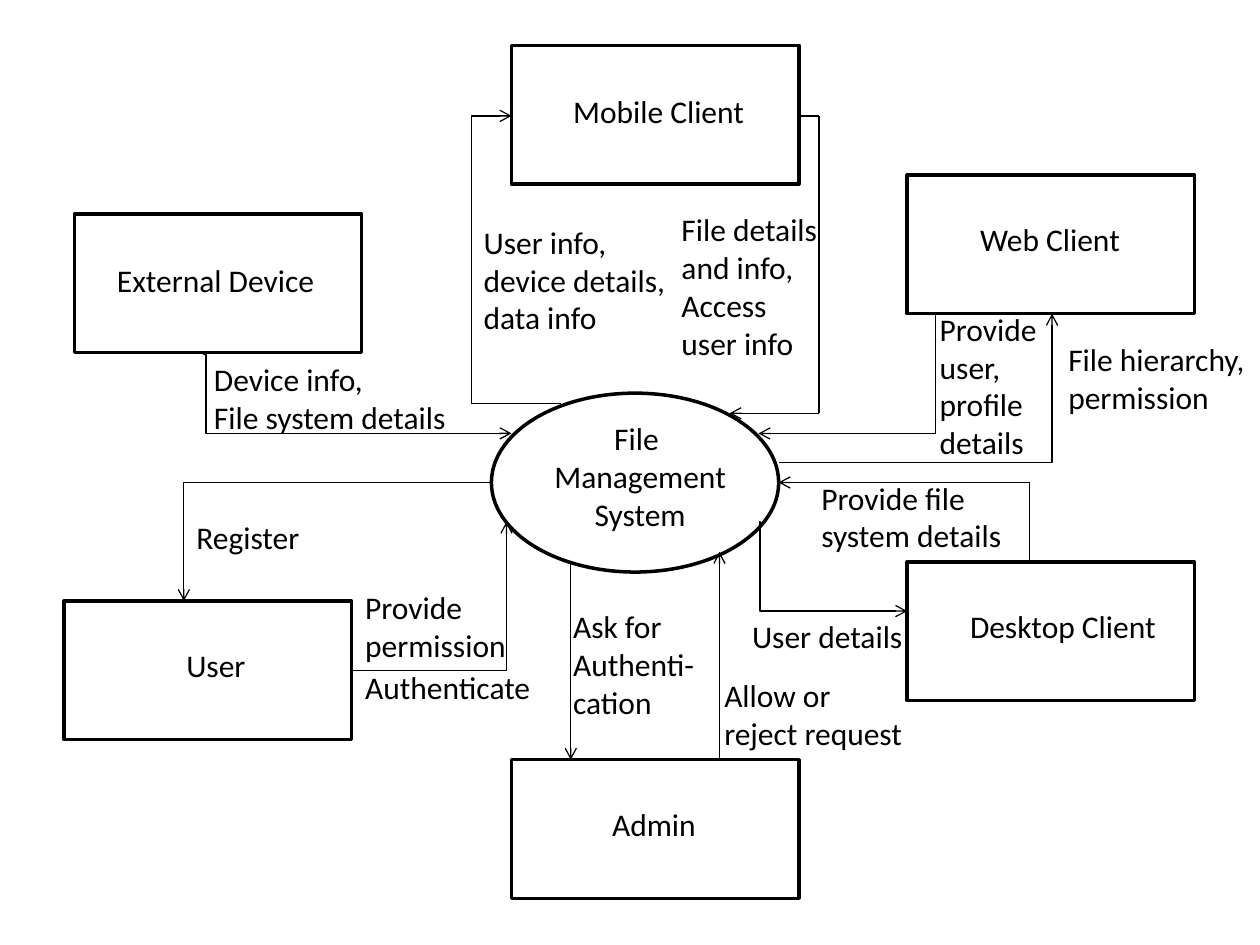
from itertools import pairwise

from lxml.etree import SubElement
from pptx import Presentation
from pptx.dml.color import RGBColor
from pptx.enum.shapes import MSO_CONNECTOR, MSO_SHAPE
from pptx.enum.text import MSO_AUTO_SIZE, PP_ALIGN
from pptx.oxml.ns import qn
from pptx.util import Inches, Pt

COLOURS = {"ink": "000000", "paper": "FFFFFF"}
INK = RGBColor.from_string(COLOURS["ink"])
TEXT_FORMAT = {"name": "Calibri", "size": Pt(18)}
FRAME_FORMAT = {"word_wrap": False, "auto_size": MSO_AUTO_SIZE.SHAPE_TO_FIT_TEXT}
ENTITY_SIZE = (2.28, 1.1)
SYSTEM_BOX = (3.9, 3.12, 2.28, 1.42)
LINE_HEIGHT = 0.3

# Entities: every position is an offset from the entity's top left corner.
# name: left, top, width. labels: left, top, width, text.
# routes: corner points of straight runs. elbows: start, end, bend
# (bend is the share of the width where the line turns; None turns once).
ENTITIES = [
    {"corner": (4.06, 0.36), "name": (0.39, 0.32, 1.58, "Mobile Client"),
     "routes": [[(2.28, 0.56), (2.44, 0.56), (2.44, 2.92), (1.73, 2.92)],
                [(0.39, 2.84), (-0.32, 2.84), (-0.32, 0.56), (0, 0.56)]],
     "labels": [(1.25, 1.26, 1.35, "File details\nand info,\nAccess\nuser info"),
                (-0.32, 1.36, 1.66, "User info,\ndevice details,\ndata info")]},
    {"corner": (0.51, 4.77), "name": (0.87, 0.31, 0.68, "User"),
     "elbows": [((2.29, 0.55), (3.51, -0.63), 1), ((3.39, -0.94), (0.95, 0), 1)],
     "labels": [(0.95, -0.71, 1.09, "Register"),
                (2.29, -0.15, 1.39, "Provide\npermission"),
                (2.29, 0.48, 1.53, "Authenticate")]},
    {"corner": (7.2, 1.39), "name": (0.48, 0.31, 1.33, "Web Client"),
     "elbows": [((-1.02, 2.28), (1.15, 1.1), None),
                ((0.24, 1.1), (-1.18, 2.05), 0.01)],
     "labels": [(1.18, 1.26, 1.62, "File hierarchy,\npermission"),
                (0.16, 1.02, 1.04, "Provide\nuser,\nprofile\ndetails")]},
    {"corner": (4.06, 6.03), "name": (0.7, 0.31, 0.87, "Admin"),
     "routes": [[(0.47, -1.57), (0.47, 0)], [(1.65, 0), (1.65, -1.65)]],
     "labels": [(0.39, -1.26, 1.17, "Ask for\nAuthenti-\ncation"),
                (1.59, -0.71, 1.63, "Allow or\nreject request")]},
    {"corner": (7.2, 4.46), "name": (0.4, 0.31, 1.69, "Desktop Client"),
     "elbows": [((-1.18, -0.32), (0, 0.39), 0.01),
                ((0.95, 0), (-1.02, -0.63), -0.01)],
     "labels": [(-1.33, 0.39, 1.41, "User details"),
                (-0.78, -0.71, 1.64, "Provide file\nsystem details")]},
    {"corner": (0.59, 1.7), "name": (0.24, 0.32, 1.84, "External Device"),
     "elbows": [((1.02, 1.11), (3.47, 1.74), 0.01)],
     "labels": [(1.01, 1.11, 2.06, "Device info,\nFile system details")]},
]


def add_outline(page, kind, box):
    outline = page.shapes.add_shape(kind, *map(Inches, box))
    outline.shadow.inherit = False
    outline.fill.background()
    outline.line.color.rgb = INK
    outline.line.width = Pt(2)


def add_label(page, corner, label, alignment=PP_ALIGN.LEFT):
    left, top, width, text = label
    height = 0.1 + LINE_HEIGHT * len(text.split("\n"))
    box = (corner[0] + left, corner[1] + top, width, height)
    frame = page.shapes.add_textbox(*map(Inches, box)).text_frame
    frame.text = text
    for key, value in FRAME_FORMAT.items():
        setattr(frame, key, value)
    for para in frame.paragraphs:
        para.alignment = alignment
        for span in para.runs:
            for key, value in TEXT_FORMAT.items():
                setattr(span.font, key, value)
            span.font.color.rgb = INK


def add_line(page, corner, start, end, kind=MSO_CONNECTOR.STRAIGHT, arrow=True):
    ends = [Inches(base + offset) for point in (start, end)
            for base, offset in zip(corner, point)]
    line = page.shapes.add_connector(kind, *ends)
    line.line.color.rgb = INK
    line.line.width = Pt(0.75)
    properties = line._element.spPr
    if arrow:
        SubElement(properties.find(qn("a:ln")), qn("a:tailEnd"), type="arrow")
    SubElement(properties, qn("a:effectLst"))
    return line


def add_elbow(page, corner, start, end, bend):
    line = add_line(page, corner, start, end, MSO_CONNECTOR.ELBOW)
    geometry = line._element.spPr.find(qn("a:prstGeom"))
    if bend is None:
        geometry.set("prst", "bentConnector2")
    else:
        SubElement(geometry.find(qn("a:avLst")), qn("a:gd"),
                   name="adj1", fmla=f"val {round(bend * 100000)}")


def draw_system(page, box):
    add_outline(page, MSO_SHAPE.OVAL, box)
    add_label(page, box[:2], (0.39, 0.16, 1.58, "File \nManagement\nSystem"),
              PP_ALIGN.CENTER)


def draw_entity(page, box, entity):
    corner = box[:2]
    add_outline(page, MSO_SHAPE.RECTANGLE, box)
    for route in entity.get("routes", []):
        for start, end in pairwise(route):
            add_line(page, corner, start, end, arrow=end == route[-1])
    for elbow in entity.get("elbows", []):
        add_elbow(page, corner, *elbow)
    for label in [entity["name"], *entity["labels"]]:
        add_label(page, corner, label)


def main():
    deck = Presentation()
    deck.slide_width, deck.slide_height = Inches(10), Inches(7.5)
    page = deck.slides.add_slide(deck.slide_layouts[6])
    page.background.fill.solid()
    page.background.fill.fore_color.rgb = RGBColor.from_string(COLOURS["paper"])

    # Central system, then the entities around it with their data flows
    draw_system(page, SYSTEM_BOX)
    for entity in ENTITIES:
        draw_entity(page, entity["corner"] + ENTITY_SIZE, entity)
    deck.save("out.pptx")


if __name__ == "__main__":
    main()
